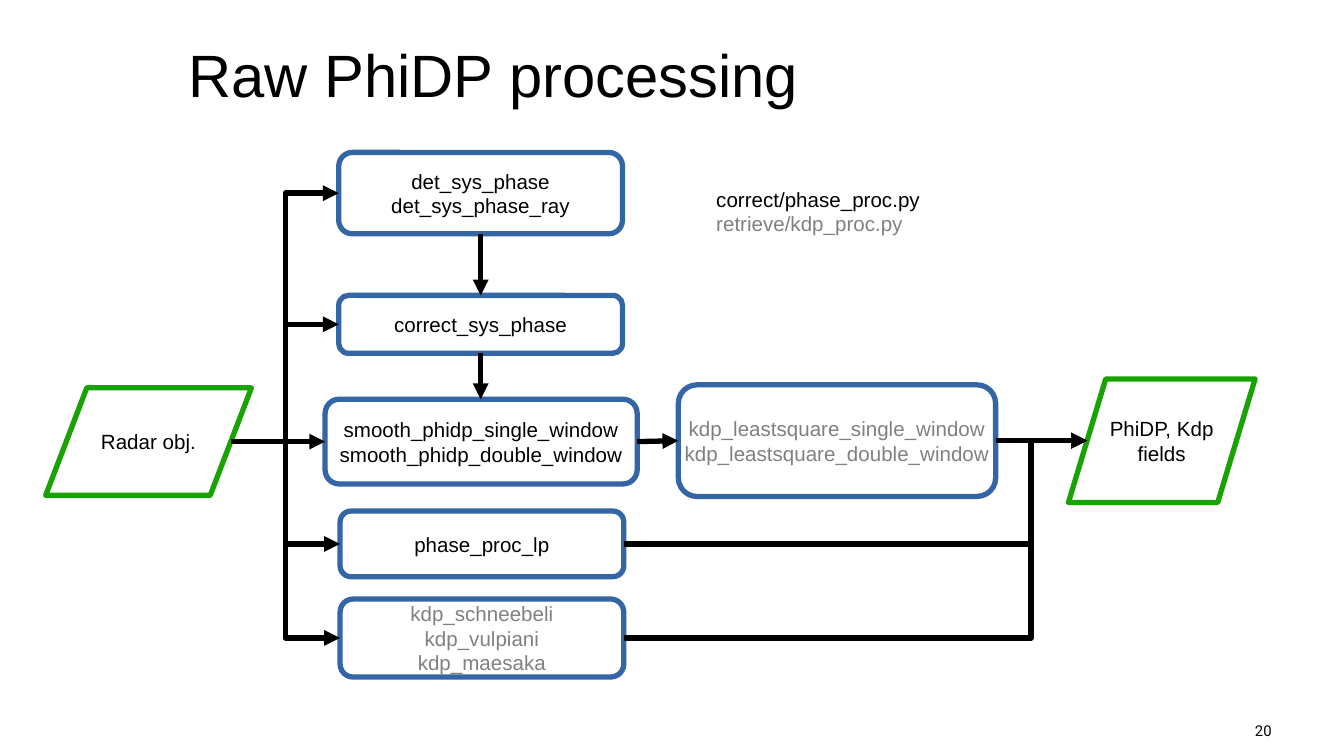
from lxml.etree import SubElement
from pptx import Presentation
from pptx.dml.color import RGBColor
from pptx.enum.shapes import MSO_CONNECTOR, MSO_SHAPE
from pptx.enum.text import MSO_ANCHOR, MSO_AUTO_SIZE, PP_ALIGN
from pptx.oxml.ns import qn
from pptx.util import Pt

BLACK = RGBColor(0x00, 0x00, 0x00)
GREY = RGBColor(0x80, 0x80, 0x80)
BLUE = RGBColor(0x34, 0x65, 0xA4)
GREEN = RGBColor(0x18, 0xA3, 0x03)

LINE_WIDTH = 2.83
MID_Y = 236.6      # centre line of the main row
IN_BUS_X = 152.8   # vertical line that feeds the methods
OUT_BUS_X = 552.3  # vertical line that collects the results


def format_text(tf, size, colors, align, font="Arial"):
    """Format each paragraph of tf with its own entry of colors."""
    for p, color in zip(tf.paragraphs, colors):
        p.alignment = align
        for r in p.runs:
            r.font.size = Pt(size)
            r.font.name = font
            r.font.color.rgb = color


def add_title(slide, text):
    sp = slide.shapes.title
    sp.left, sp.top, sp.width, sp.height = Pt(93.6), Pt(14.4), Pt(592), Pt(55.4)
    tf = sp.text_frame
    tf.text = text
    tf.auto_size = MSO_AUTO_SIZE.NONE
    tf.vertical_anchor = MSO_ANCHOR.MIDDLE
    tf.paragraphs[0].line_spacing = 0.9
    format_text(tf, 32, [BLACK], PP_ALIGN.LEFT)


def add_label(slide, box, text, size, colors, align, font="Arial"):
    tf = slide.shapes.add_textbox(*map(Pt, box)).text_frame
    tf.word_wrap = True
    tf.text = text
    format_text(tf, size, colors, align, font)


def add_node(slide, kind, line, left, center_y, width, height, lines, color=BLACK):
    sp = slide.shapes.add_shape(
        kind, Pt(left), Pt(center_y - height / 2), Pt(width), Pt(height))
    sp.shadow.inherit = False
    sp.fill.background()
    sp.line.color.rgb = line
    sp.line.width = Pt(LINE_WIDTH)
    tf = sp.text_frame
    tf.word_wrap = False
    tf.vertical_anchor = MSO_ANCHOR.MIDDLE
    tf.margin_left = tf.margin_right = Pt(8.5)
    tf.margin_top = tf.margin_bottom = Pt(5)
    tf.text = "\n".join(lines)
    format_text(tf, 11, [color] * len(lines), PP_ALIGN.CENTER)
    return sp


def add_method(slide, *args, **kwargs):
    sp = add_node(slide, MSO_SHAPE.ROUNDED_RECTANGLE, BLUE, *args, **kwargs)
    sp.adjustments[0] = 0.167
    return sp


def add_data(slide, *args):
    return add_node(slide, MSO_SHAPE.FLOWCHART_DATA, GREEN, *args)


def left_of(sp, slant=0):
    return sp.left.pt + slant * sp.width.pt, sp.top.pt + sp.height.pt / 2


def right_of(sp, slant=0):
    return sp.left.pt + (1 - slant) * sp.width.pt, sp.top.pt + sp.height.pt / 2


def add_arrow(slide, start, end, bus_x=None):
    """Draw a straight arrow, or an elbow that turns at bus_x."""
    kind = MSO_CONNECTOR.STRAIGHT if bus_x is None else MSO_CONNECTOR.ELBOW
    cxn = slide.shapes.add_connector(kind, *map(Pt, start + end))
    cxn.line.color.rgb = BLACK
    cxn.line.width = Pt(LINE_WIDTH)
    sp_pr = cxn._element.spPr
    SubElement(sp_pr.find(qn("a:ln")), qn("a:tailEnd"), type="triangle")
    SubElement(sp_pr, qn("a:effectLst"))
    if bus_x is not None:
        geom = sp_pr.find(qn("a:prstGeom"))
        av = geom.find(qn("a:avLst"))
        if av is None:
            av = SubElement(geom, qn("a:avLst"))
        adj = round(100000 * (bus_x - start[0]) / (end[0] - start[0]))
        SubElement(av, qn("a:gd"), name="adj1", fmla=f"val {adj}")


def add_down_arrow(slide, upper, lower):
    x = upper.left.pt + upper.width.pt / 2
    add_arrow(slide, (x, upper.top.pt + upper.height.pt), (x, lower.top.pt))


def main():
    prs = Presentation()
    prs.slide_width, prs.slide_height = Pt(720), Pt(405)
    slide = prs.slides.add_slide(prs.slide_layouts[5])
    add_title(slide, "Raw PhiDP processing")

    radar = add_data(slide, 24.5, MID_Y, 110.2, 57.6, ["Radar obj."])
    fields = add_data(slide, 572.4, MID_Y - 0.5, 100, 66.2, ["PhiDP, Kdp", "fields"])

    detect = add_method(slide, 181.5, 103.5, 152, 43.6,
                        ["det_sys_phase", "det_sys_phase_ray"])
    correct = add_method(slide, 181.5, 173.8, 152, 31, ["correct_sys_phase"])
    smooth = add_method(slide, 174.2, MID_Y, 167.2, 45.4,
                        ["smooth_phidp_single_window", "smooth_phidp_double_window"])
    least_square = add_method(
        slide, 363.4, MID_Y - 0.5, 170, 59.8,
        ["kdp_leastsquare_single_window", "kdp_leastsquare_double_window"], color=GREY)
    linear = add_method(slide, 182.2, 291.4, 152, 35.2, ["phase_proc_lp"])
    retrieval = add_method(slide, 182.2, 341.8, 152, 41.8,
                           ["kdp_schneebeli", "kdp_vulpiani", "kdp_maesaka"], color=GREY)

    source = right_of(radar, slant=0.1)
    target = left_of(fields, slant=0.1)
    add_arrow(slide, source, left_of(smooth))
    add_arrow(slide, right_of(smooth), left_of(least_square))
    add_arrow(slide, right_of(least_square), target)
    add_down_arrow(slide, detect, correct)
    add_down_arrow(slide, correct, smooth)
    for method in (detect, correct, linear, retrieval):
        add_arrow(slide, source, left_of(method), IN_BUS_X)
    for method in (linear, retrieval):
        add_arrow(slide, right_of(method), target, OUT_BUS_X)

    add_label(slide, (376.6, 96.5, 174.2, 46.8),
              "correct/phase_proc.py\nretrieve/kdp_proc.py",
              11, [BLACK, GREY], PP_ALIGN.LEFT)
    add_label(slide, (603.4, 383, 85, 17.3), "20", 8, [BLACK], PP_ALIGN.RIGHT, "Roboto")

    prs.save("out.pptx")


if __name__ == "__main__":
    main()
